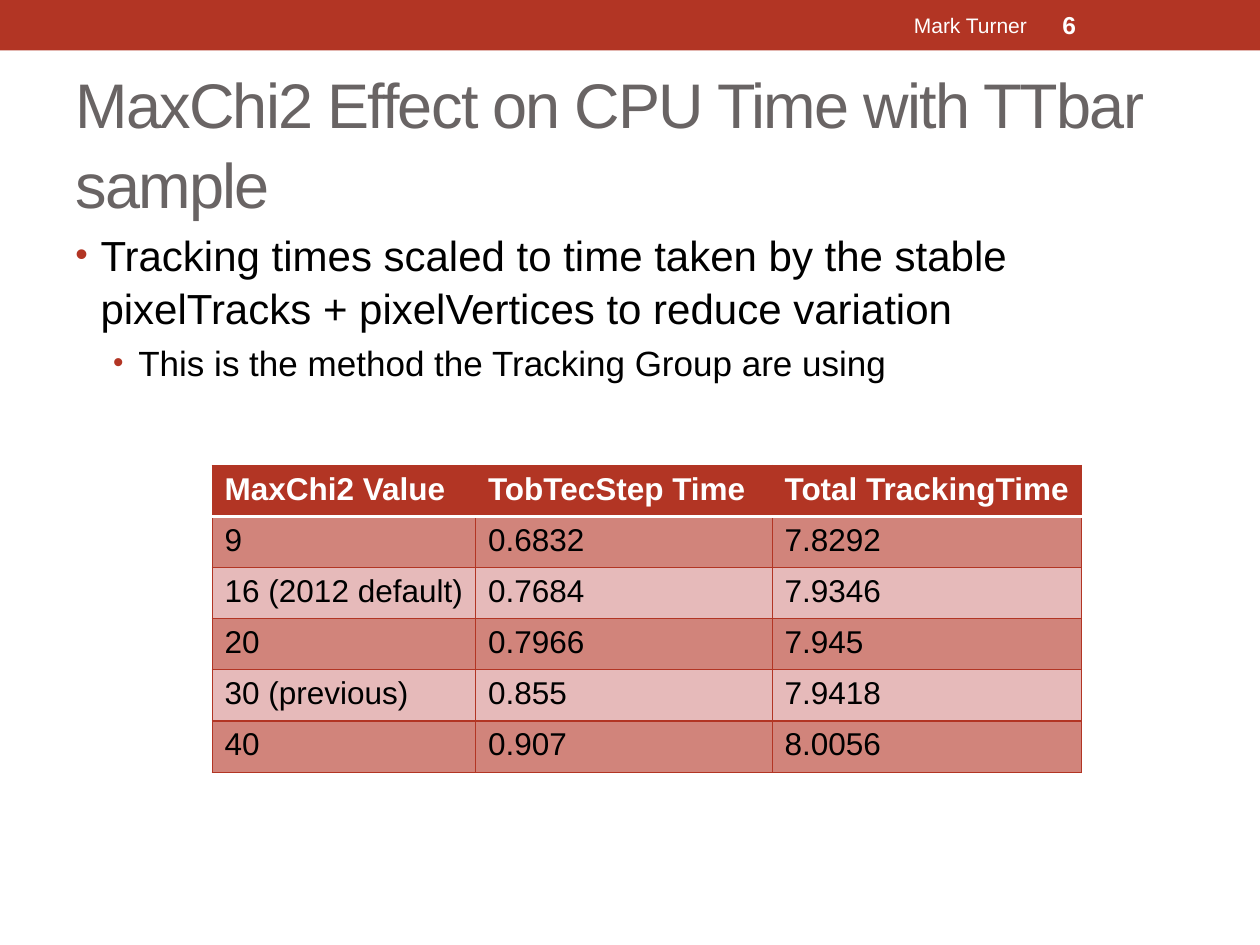
"""Build the slide on the effect of MaxChi2 on CPU time."""
import lxml.etree
import pptx
import pptx.dml.color
import pptx.enum.shapes
import pptx.enum.text
import pptx.oxml.ns
import pptx.util

Pt = pptx.util.Pt
RGBColor = pptx.dml.color.RGBColor
ANCHOR = pptx.enum.text.MSO_ANCHOR
ALIGN = pptx.enum.text.PP_ALIGN

RED = RGBColor(0xB2, 0x35, 0x24)
DARK_BAND = RGBColor(0xD1, 0x84, 0x7B)
LIGHT_BAND = RGBColor(0xE6, 0xBA, 0xBA)
GRAY = RGBColor(0x69, 0x64, 0x64)
WHITE = RGBColor(0xFF, 0xFF, 0xFF)
BLACK = RGBColor(0x00, 0x00, 0x00)

COLUMN_WIDTHS = (150.5, 169.5, 177)
ROW_HEIGHT = 29.2
TIMES = (
    ("MaxChi2 Value", "TobTecStep Time", "Total TrackingTime"),
    ("9", "0.6832", "7.8292"),
    ("16 (2012 default)", "0.7684", "7.9346"),
    ("20", "0.7966", "7.945"),
    ("30 (previous)", "0.855", "7.9418"),
    ("40", "0.907", "8.0056"),
)
BULLETS = (
    ("Tracking times scaled to time taken by the stable "
     "pixelTracks + pixelVertices to reduce variation", 0, 24, 14.4),
    ("This is the method the Tracking Group are using", 1, 20, 36),
)


def set_values(target, values):
    """Set each attribute of the target from a dict."""
    for name, value in values.items():
        setattr(target, name, value)


def add_element(parent, tag, **attributes):
    """Append a DrawingML element and return it."""
    name = pptx.oxml.ns.qn(f"a:{tag}")
    return lxml.etree.SubElement(parent, name, attributes)


def add_span(para, text, size, color, bold=False):
    """Add formatted text to a paragraph and return it."""
    span = para.add_run()
    span.text = text
    set_values(span.font, {"name": "Arial", "size": Pt(size), "bold": bold})
    span.font.color.rgb = color
    return span


def add_box(slide, left, top, width, height, anchor=ANCHOR.MIDDLE):
    """Add a wrapping text box and return its text frame."""
    box = slide.shapes.add_textbox(Pt(left), Pt(top), Pt(width), Pt(height))
    set_values(box.text_frame, {"word_wrap": True, "vertical_anchor": anchor})
    return box.text_frame


def add_banner(slide):
    """Add the red band with the author and the page number."""
    band = slide.shapes.add_shape(
        pptx.enum.shapes.MSO_SHAPE.RECTANGLE, 0, 0, Pt(720), Pt(28.8))
    band.shadow.inherit = False
    band.fill.solid()
    band.fill.fore_color.rgb = RED
    band.line.fill.background()
    author = add_box(slide, 270, 1.44, 324, 25.92).paragraphs[0]
    author.alignment = ALIGN.RIGHT
    add_span(author, "Mark Turner", 12, WHITE)
    number = add_box(slide, 600, 1.44, 84, 25.92).paragraphs[0]
    add_span(number, "6", 14, WHITE, True)


def add_title(slide):
    """Add the title with tightened letter spacing."""
    para = add_box(slide, 36, 42, 648, 77.5).paragraphs[0]
    para.line_spacing = 1.05
    span = add_span(
        para, "MaxChi2 Effect on CPU Time with TTbar sample", 36, GRAY)
    span.font._element.set("spc", "-100")


def add_bullets(slide):
    """Add the two levels of bulleted text."""
    frame = add_box(slide, 36, 126, 648, 384, ANCHOR.TOP)
    for index, (text, level, size, margin) in enumerate(BULLETS):
        para = frame.add_paragraph() if index else frame.paragraphs[0]
        set_values(para, {"level": level, "line_spacing": 1.05,
                          "space_before": Pt(size * 0.2)})
        properties = para._p.get_or_add_pPr()
        properties.set("marL", str(Pt(margin)))
        properties.set("indent", str(-Pt(14.4)))
        color = add_element(properties, "buClr")
        add_element(color, "srgbClr", val=str(RED))
        add_element(properties, "buSzPct", val="85000")
        add_element(properties, "buFont", typeface="Arial")
        add_element(properties, "buChar", char="•")
        add_span(para, text, size, BLACK)


def set_borders(cell, borders):
    """Draw cell edges from a dict of side to colour and width."""
    properties = cell._tc.get_or_add_tcPr()
    for index, (side, (color, width)) in enumerate(borders.items()):
        line = lxml.etree.Element(
            pptx.oxml.ns.qn(f"a:ln{side}"), {"w": str(Pt(width))})
        fill = add_element(line, "solidFill")
        add_element(fill, "srgbClr", val=str(color))
        properties.insert(index, line)


def add_times(slide):
    """Add the table of tracking times."""
    table = slide.shapes.add_table(
        len(TIMES), len(COLUMN_WIDTHS), Pt(121.2), Pt(266),
        Pt(sum(COLUMN_WIDTHS)), Pt(ROW_HEIGHT * len(TIMES))).table
    for column, width in zip(table.columns, COLUMN_WIDTHS):
        column.width = Pt(width)
    for row_index, values in enumerate(TIMES):
        table.rows[row_index].height = Pt(ROW_HEIGHT)
        header = row_index == 0
        band = RED if header else (LIGHT_BAND, DARK_BAND)[row_index % 2]
        borders = dict.fromkeys(("L", "R", "T", "B"), (RED, 0.75))
        if header:
            borders["B"] = (WHITE, 2.08)
        elif row_index == 1:
            borders["T"] = (WHITE, 2.08)
        for column_index, value in enumerate(values):
            cell = table.cell(row_index, column_index)
            cell.fill.solid()
            cell.fill.fore_color.rgb = band
            add_span(cell.text_frame.paragraphs[0], value, 18,
                     WHITE if header else BLACK, header)
            set_borders(cell, borders)


def main():
    """Build and save the deck."""
    deck = pptx.Presentation()
    set_values(deck, {"slide_width": Pt(720), "slide_height": Pt(540)})
    page = deck.slides.add_slide(deck.slide_layouts[6])
    add_banner(page)
    add_title(page)
    add_times(page)
    add_bullets(page)
    deck.save("out.pptx")


if __name__ == "__main__":
    main()
